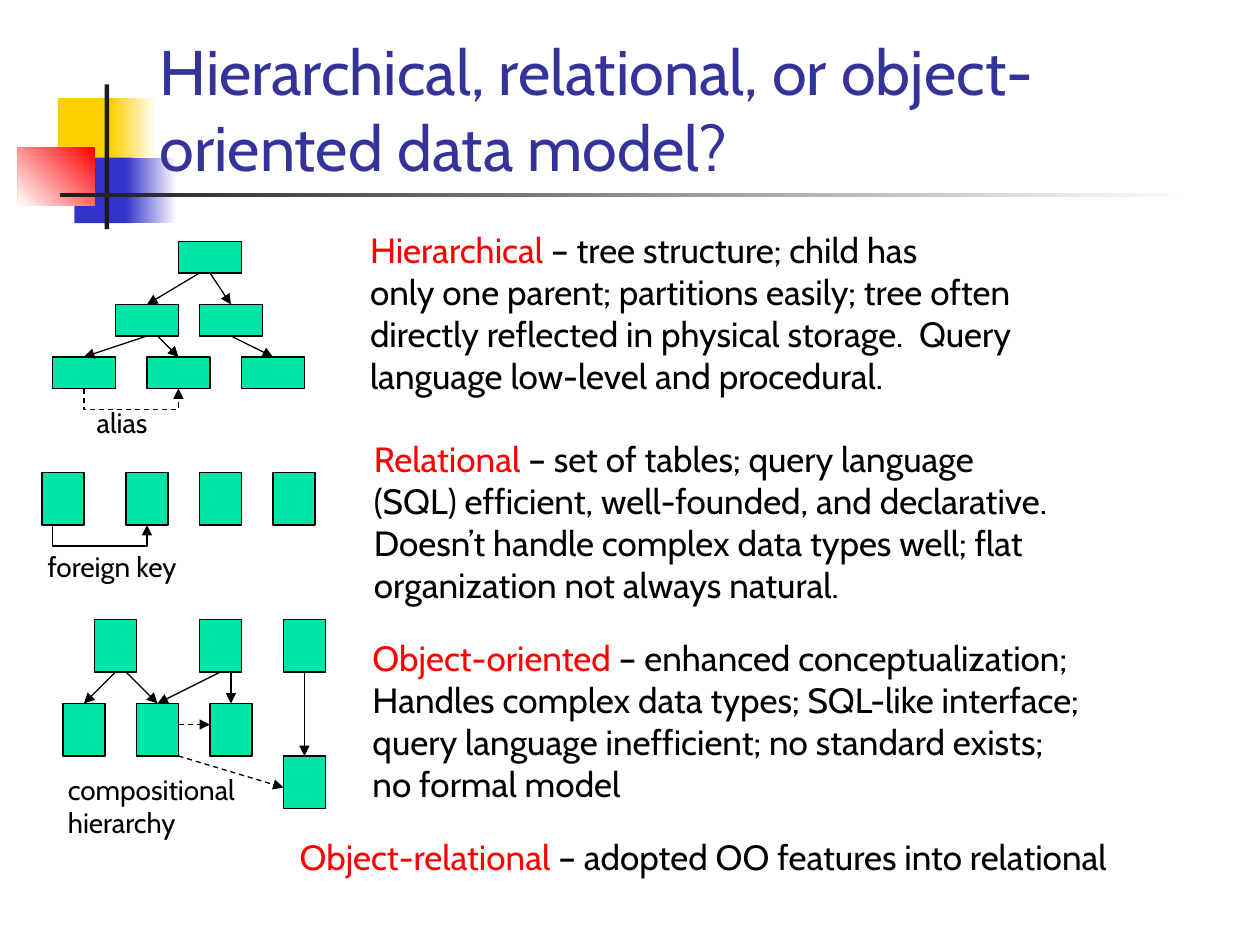
"""Build the slide comparing hierarchical, relational and object-oriented data models."""
import lxml.etree
import pptx
import pptx.dml.color
import pptx.enum.dml
import pptx.enum.shapes
import pptx.enum.text
import pptx.oxml.ns
import pptx.util

Cm = pptx.util.Cm
Pt = pptx.util.Pt
RGB = pptx.dml.color.RGBColor.from_string
qn = pptx.oxml.ns.qn
RECTANGLE = pptx.enum.shapes.MSO_SHAPE.RECTANGLE

theme = {
    "yellow": RGB("FFCF01"),
    "blue": RGB("3333CC"),
    "red": RGB("FF0000"),
    "white": RGB("FFFFFF"),
    "charcoal": RGB("1C1C1C"),
    "heading": RGB("333399"),
    "node": RGB("00E4A8"),
    "ink": RGB("000000"),
    "outline": Pt(0.75),
    "title_font": {"name": "Cabin", "size": Pt(36)},
    "body_font": {"name": "Cabin", "size": Pt(20)},
    "label_font": {"name": "Cabin", "size": Pt(16)},
    "frame": {
        "word_wrap": True,
        "auto_size": pptx.enum.text.MSO_AUTO_SIZE.NONE,
        "margin_left": Cm(0.25),
        "margin_right": Cm(0.25),
        "margin_top": Cm(0.13),
        "margin_bottom": Cm(0.13),
    },
}


def write_lines(frame, lines, font_format, term="", color=theme["ink"]):
    for attribute, value in theme["frame"].items():
        setattr(frame, attribute, value)
    for number, line in enumerate(lines):
        paragraph = frame.add_paragraph() if number else frame.paragraphs[0]
        parts = [(line, color)]
        if term and number == 0:
            parts.insert(0, (term, theme["red"]))
        for wording, part_color in parts:
            run = paragraph.add_run()
            run.text = wording
            run.font.color.rgb = part_color
            for attribute, value in font_format.items():
                setattr(run.font, attribute, value)


def finish_arrow(arrow, dashed):
    arrow.line.color.rgb = theme["ink"]
    arrow.line.width = theme["outline"]
    if dashed:
        arrow.line.dash_style = pptx.enum.dml.MSO_LINE.DASH
    properties = arrow.element.spPr
    lxml.etree.SubElement(properties.find(qn("a:ln")), qn("a:tailEnd"), type="triangle")
    lxml.etree.SubElement(properties, qn("a:effectLst"))


presentation = pptx.Presentation()
presentation.slide_width = Cm(25.4)
presentation.slide_height = Cm(19.05)
slide = presentation.slides.add_slide(presentation.slide_layouts[5])
shapes = slide.shapes

ornaments = [
    (1.17, 1.98, 1.22, 1.32, ["yellow"], 0),
    (2.24, 1.98, 0.91, 1.32, ["white", "yellow"], 180),
    (1.5, 3.18, 1.17, 1.32, ["blue"], 0),
    (2.54, 3.18, 1.02, 1.32, ["white", "blue"], 180),
    (0.36, 2.97, 1.55, 1.17, ["red", "white"], 225),
    (2.11, 1.7, 0.09, 2.92, ["charcoal"], 0),
    (1.22, 3.89, 22.86, 0.09, ["white", "charcoal"], 180),
]
for left, top, width, height, colors, angle in ornaments:
    ornament = shapes.add_shape(RECTANGLE, Cm(left), Cm(top), Cm(width), Cm(height))
    ornament.shadow.inherit = False
    ornament.line.fill.background()
    if len(colors) == 1:
        ornament.fill.solid()
        ornament.fill.fore_color.rgb = theme[colors[0]]
    else:
        ornament.fill.gradient()
        ornament.fill.gradient_angle = angle
        for stop, color in zip(ornament.fill.gradient_stops, colors):
            stop.color.rgb = theme[color]

title = shapes.title
title.element.getparent().append(title.element)
title_place = {"left": Cm(2.97), "top": Cm(0), "width": Cm(21.87), "height": Cm(3.84)}
for attribute, value in title_place.items():
    setattr(title, attribute, value)
write_lines(
    title.text_frame,
    ["Hierarchical, relational, or object-oriented data model?"],
    theme["title_font"],
    color=theme["heading"],
)
title.text_frame.vertical_anchor = pptx.enum.text.MSO_ANCHOR.BOTTOM
title.text_frame.paragraphs[0].alignment = pptx.enum.text.PP_ALIGN.LEFT

grid = Cm(2.54) // 12
tree_records = [(17, 23), (11, 29), (19, 29), (5, 34), (14, 34), (23, 34)]
tables = [(4, 45), (12, 45), (19, 45), (26, 45)]
objects = [(9, 59), (19, 59), (27, 59), (6, 67), (13, 67), (20, 67), (27, 72)]
for places, width, height in [(tree_records, 6, 3), (tables, 4, 5), (objects, 4, 5)]:
    for column, row in places:
        node = shapes.add_shape(
            RECTANGLE, column * grid, row * grid, width * grid, height * grid
        )
        node.shadow.inherit = False
        node.fill.solid()
        node.fill.fore_color.rgb = theme["node"]
        node.line.color.rgb = theme["ink"]
        node.line.width = theme["outline"]

tree_links = [
    (19, 26, 14, 29), (20, 26, 22, 29),
    (14, 32, 8, 34), (15, 32, 17, 34), (22, 32, 26, 34),
]
object_links = [
    (11, 64, 8, 67), (12, 64, 15, 67), (21, 64, 15, 67),
    (22, 64, 22, 67), (29, 64, 29, 72),
]
object_references = [(17, 69, 20, 69), (17, 72, 27, 75)]
for links, dashed in [(tree_links + object_links, False), (object_references, True)]:
    for link in links:
        arrow = shapes.add_connector(
            pptx.enum.shapes.MSO_CONNECTOR.STRAIGHT, *[step * grid for step in link]
        )
        finish_arrow(arrow, dashed)

for start, end, top, dashed in [(8, 17, 37, True), (5, 14, 50, False)]:
    route = shapes.build_freeform(start, top, scale=grid)
    route.add_line_segments([(start, top + 2), (end, top + 2), (end, top)], close=False)
    key_arrow = route.convert_to_shape()
    key_arrow.fill.background()
    finish_arrow(key_arrow, dashed)

definitions = [
    (7.21, 4.47, 15.24, 3.66, "Hierarchical", [
        " – tree structure; child has",
        "only one parent; partitions easily; tree often",
        "directly reflected in physical storage.  Query",
        "language low-level and procedural.",
    ]),
    (7.29, 8.69, 15.85, 3.66, "Relational ", [
        "– set of tables; query language",
        "(SQL) efficient, well-founded, and declarative.",
        "Doesn’t handle complex data types well; flat",
        "organization not always natural.",
    ]),
    (7.26, 12.7, 16.41, 3.66, "Object-oriented", [
        " – enhanced conceptualization;",
        "Handles complex data types; SQL-like interface;",
        "query language inefficient; no standard exists;",
        "no formal model",
    ]),
    (5.79, 16.71, 18.59, 1.12, "Object-relational", [
        " – adopted OO features into relational",
    ]),
]
labels = [
    (1.7, 8.05, 1.88, 0.94, "", ["alias"]),
    (0.71, 10.95, 3.48, 0.94, "", ["foreign key"]),
    (1.12, 15.44, 4.24, 1.63, "", ["compositional", "hierarchy"]),
]
for passages, font_format in [(definitions, "body_font"), (labels, "label_font")]:
    for left, top, width, height, term, lines in passages:
        passage = shapes.add_textbox(Cm(left), Cm(top), Cm(width), Cm(height))
        write_lines(passage.text_frame, lines, theme[font_format], term)

presentation.save("out.pptx")
